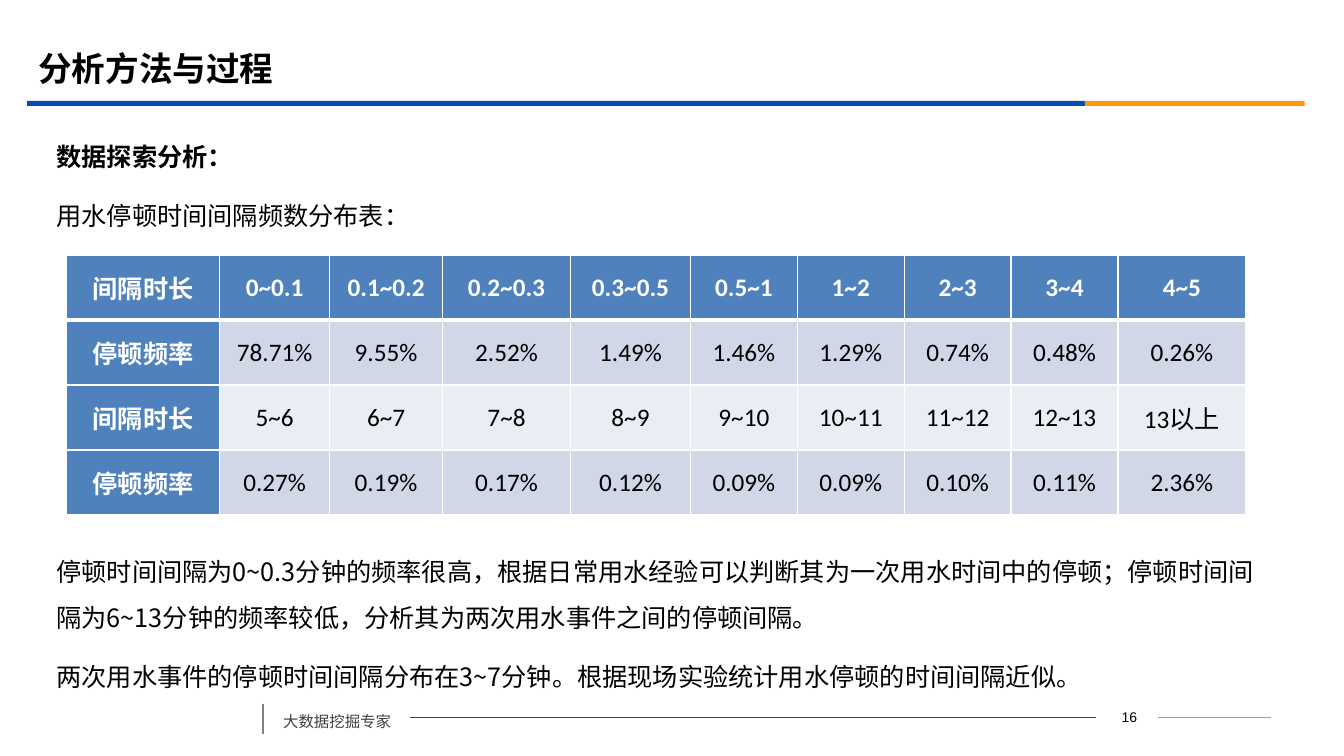
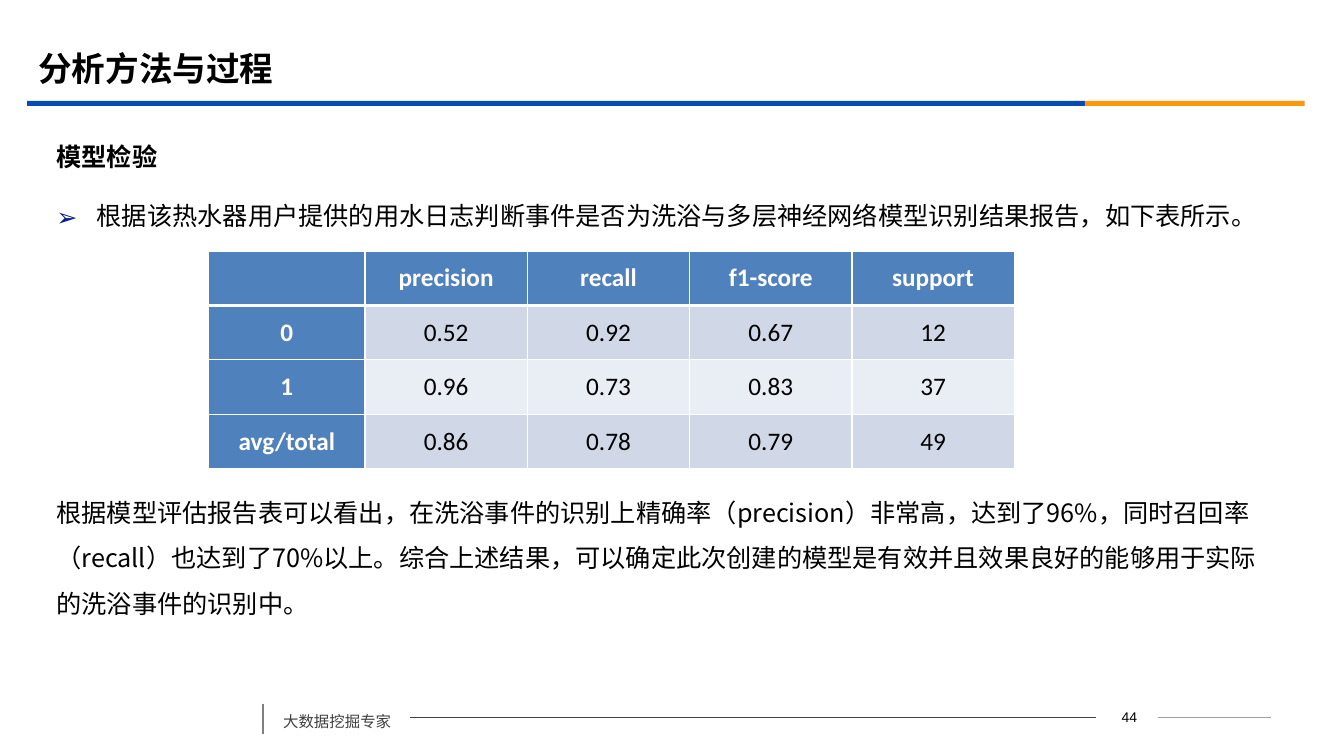
"""Build two slides on the water usage analysis."""
from dataclasses import dataclass
from typing import Optional

from lxml import etree
from pptx import Presentation
from pptx import util as u
from pptx.dml.color import RGBColor
from pptx.enum import shapes, text
from pptx.oxml import ns

BLACK = RGBColor(0x00, 0x00, 0x00)
WHITE = RGBColor(0xFF, 0xFF, 0xFF)
BLUE = RGBColor(0x06, 0x4B, 0xB2)
ORANGE = RGBColor(0xFB, 0x97, 0x08)
BULLET_BLUE = RGBColor(0x03, 0x20, 0x89)
DARK_RULE = RGBColor(0x42, 0x42, 0x42)
LIGHT_RULE = RGBColor(0x9F, 0x9F, 0x9F)
DIVIDER = RGBColor(0x80, 0x80, 0x80)
FOOTER_TEXT = RGBColor(0x40, 0x40, 0x40)
HEADER_FILL = RGBColor(0x4F, 0x81, 0xBD)
BAND_FILLS = (RGBColor(0xD0, 0xD8, 0xE8), RGBColor(0xE9, 0xED, 0xF4))

CJK_FONT = "Noto Sans CJK SC"
TABLE_FONT = "Calibri"
NUMBER_FONT = "Arial"
TITLE = "分析方法与过程"
FOOTER = "大数据挖掘专家"
BODY_LEFT = 0.56
INTRO_TOP = 1.25


@dataclass(frozen=True)
class Band:
    left: float
    width: float
    color: RGBColor


@dataclass(frozen=True)
class Rule:
    start: tuple[float, float]
    end: tuple[float, float]
    color: RGBColor
    weight: float


@dataclass(frozen=True)
class Line:
    words: str
    bold: bool = False
    bullet: Optional[str] = None


@dataclass(frozen=True)
class Grid:
    left: float
    top: float
    columns: list[float]
    row_height: float
    margin: float
    rows: list[list[str]]


@dataclass(frozen=True)
class Page:
    number: int
    body_width: float
    intro: list[Line]
    grid: Grid
    conclusion_top: float
    conclusion: list[Line]


BANDS = [Band(0.27, 10.49, BLUE), Band(10.76, 2.18, ORANGE)]
RULES = [
    Rule((11.49, 7.12), (12.61, 7.12), LIGHT_RULE, 0.75),
    Rule((4.07, 7.12), (10.87, 7.12), DARK_RULE, 0.75),
    Rule((2.61, 6.98), (2.61, 7.28), DIVIDER, 1.25),
]

PAGES = [
    Page(
        16, 12.01,
        [Line("数据探索分析：", bold=True), Line("用水停顿时间间隔频数分布表：")],
        Grid(
            0.66, 2.53,
            [1.52, 1.09, 1.12, 1.27, 1.19, 1.06, 1.06, 1.06, 1.06, 1.27], 0.645, 0.06,
            [
                ["间隔时长", "0~0.1", "0.1~0.2", "0.2~0.3", "0.3~0.5",
                 "0.5~1", "1~2", "2~3", "3~4", "4~5"],
                ["停顿频率", "78.71%", "9.55%", "2.52%", "1.49%",
                 "1.46%", "1.29%", "0.74%", "0.48%", "0.26%"],
                ["间隔时长", "5~6", "6~7", "7~8", "8~9",
                 "9~10", "10~11", "11~12", "12~13", "13以上"],
                ["停顿频率", "0.27%", "0.19%", "0.17%", "0.12%",
                 "0.09%", "0.09%", "0.10%", "0.11%", "2.36%"],
            ],
        ),
        5.37,
        [
            Line("停顿时间间隔为0~0.3分钟的频率很高，根据日常用水经验可以判断其为一次用水时间中的停顿；"
                 "停顿时间间隔为6~13分钟的频率较低，分析其为两次用水事件之间的停顿间隔。"),
            Line("两次用水事件的停顿时间间隔分布在3~7分钟。根据现场实验统计用水停顿的时间间隔近似。"),
        ],
    ),
    Page(
        44, 11.95,
        [
            Line("模型检验", bold=True),
            Line("根据该热水器用户提供的用水日志判断事件是否为洗浴与多层神经网络模型识别结果报告，"
                 "如下表所示。", bullet="➢"),
        ],
        Grid(
            2.07, 2.49, [1.55] + [1.61] * 4, 0.54, 0.08,
            [
                ["", "precision", "recall", "f1-score", "support"],
                ["0", "0.52", "0.92", "0.67", "12"],
                ["1", "0.96", "0.73", "0.83", "37"],
                ["avg/total", "0.86", "0.78", "0.79", "49"],
            ],
        ),
        4.78,
        [
            Line("根据模型评估报告表可以看出，在洗浴事件的识别上精确率（precision）非常高，达到了96%，"
                 "同时召回率（recall）也达到了70%以上。综合上述结果，可以确定此次创建的模型是有效并且"
                 "效果良好的能够用于实际的洗浴事件的识别中。"),
        ],
    ),
]


def add_span(para, words: str, size: float, color: RGBColor = BLACK,
             bold: bool = False, font: str = CJK_FONT) -> None:
    """Add one formatted run, with the shared East Asian font."""
    span = para.add_run()
    span.text = words
    span.font.size = u.Pt(size)
    span.font.bold = bold
    span.font.color.rgb = color
    span.font.name = font
    east = etree.SubElement(span.font._element, ns.qn("a:ea"))
    east.set("typeface", CJK_FONT)


def add_box(slide, left: float, top: float, width: float, height: float, side: float = 0):
    """Add a wrapping text box and return its frame."""
    box = slide.shapes.add_textbox(u.Inches(left), u.Inches(top), u.Inches(width), u.Inches(height))
    frame = box.text_frame
    frame.word_wrap = True
    frame.margin_left = frame.margin_right = u.Inches(side)
    frame.margin_top = frame.margin_bottom = 0
    return frame


def add_bullet(para, symbol: str) -> None:
    """Give a paragraph a hanging coloured bullet."""
    properties = para._p.get_or_add_pPr()
    properties.set("marL", str(u.Inches(0.4)))
    properties.set("indent", str(-u.Inches(0.4)))
    color = etree.SubElement(properties, ns.qn("a:buClr"))
    etree.SubElement(color, ns.qn("a:srgbClr")).set("val", str(BULLET_BLUE))
    etree.SubElement(properties, ns.qn("a:buFont")).set("typeface", CJK_FONT)
    etree.SubElement(properties, ns.qn("a:buChar")).set("char", symbol)


def add_lines(slide, lines: list[Line], top: float, width: float) -> None:
    """Add a block of body paragraphs."""
    frame = add_box(slide, BODY_LEFT, top, width, 1.1)
    for index, line in enumerate(lines):
        para = frame.add_paragraph() if index else frame.paragraphs[0]
        para.line_spacing = u.Pt(32.5)
        para.space_before = u.Pt(10 if index else 0)
        if line.bullet:
            add_bullet(para, line.bullet)
        add_span(para, line.words, 18, bold=line.bold)


def add_borders(cell, top: float, bottom: float) -> None:
    """Draw white borders round a table cell."""
    properties = cell._tc.get_or_add_tcPr()
    for tag, weight in (("lnL", 1), ("lnR", 1), ("lnT", top), ("lnB", bottom)):
        border = etree.SubElement(properties, ns.qn(f"a:{tag}"))
        border.set("w", str(u.Pt(weight)))
        fill = etree.SubElement(border, ns.qn("a:solidFill"))
        etree.SubElement(fill, ns.qn("a:srgbClr")).set("val", str(WHITE))


def add_grid(slide, grid: Grid) -> None:
    """Add a table with a header row, a header column and banded cells."""
    table = slide.shapes.add_table(
        len(grid.rows), len(grid.columns), u.Inches(grid.left), u.Inches(grid.top),
        u.Inches(sum(grid.columns)), u.Inches(grid.row_height * len(grid.rows))).table
    for column, width in zip(table.columns, grid.columns):
        column.width = u.Inches(width)
    for r, values in enumerate(grid.rows):
        table.rows[r].height = u.Inches(grid.row_height)
        for c, value in enumerate(values):
            cell = table.cell(r, c)
            header = r == 0 or c == 0
            add_borders(cell, top=3 if r == 1 else 1, bottom=3 if r == 0 else 1)
            cell.fill.solid()
            cell.fill.fore_color.rgb = HEADER_FILL if header else BAND_FILLS[(r - 1) % 2]
            cell.vertical_anchor = text.MSO_ANCHOR.MIDDLE
            cell.margin_left = cell.margin_right = u.Inches(grid.margin)
            cell.margin_top = cell.margin_bottom = 0
            para = cell.text_frame.paragraphs[0]
            para.alignment = text.PP_ALIGN.CENTER
            if value:
                add_span(para, value, 18, WHITE if header else BLACK, header, TABLE_FONT)


def add_band(slide, band: Band) -> None:
    """Draw one part of the strip below the title."""
    shape = slide.shapes.add_shape(
        shapes.MSO_SHAPE.RECTANGLE, u.Inches(band.left), u.Inches(1),
        u.Inches(band.width), u.Inches(0.05))
    shape.shadow.inherit = False
    shape.fill.solid()
    shape.fill.fore_color.rgb = band.color
    shape.line.fill.background()


def add_rule(slide, rule: Rule) -> None:
    """Draw one thin footer line."""
    line = slide.shapes.add_connector(
        shapes.MSO_CONNECTOR.STRAIGHT, *map(u.Inches, rule.start + rule.end))
    line.line.color.rgb = rule.color
    line.line.width = u.Pt(rule.weight)
    etree.SubElement(line._element.spPr, ns.qn("a:effectLst"))


def add_frame(slide, number: int) -> None:
    """Add the title, strip and footer that all slides share."""
    title = slide.shapes.title
    title.left, title.top, title.width, title.height = map(u.Inches, (0.28, 0.39, 12, 0.58))
    title.text_frame.vertical_anchor = text.MSO_ANCHOR.MIDDLE
    para = title.text_frame.paragraphs[0]
    para.alignment = text.PP_ALIGN.LEFT
    add_span(para, TITLE, 24, bold=True)
    for band in BANDS:
        add_band(slide, band)
    for rule in RULES:
        add_rule(slide, rule)
    footer = add_box(slide, 2.71, 6.97, 1.36, 0.38, side=0.1)
    footer.vertical_anchor = text.MSO_ANCHOR.MIDDLE
    add_span(footer.paragraphs[0], FOOTER, 11, FOOTER_TEXT)
    counter = add_box(slide, 10.89, 6.99, 0.62, 0.25)
    counter.vertical_anchor = text.MSO_ANCHOR.MIDDLE
    counter.paragraphs[0].alignment = text.PP_ALIGN.CENTER
    add_span(counter.paragraphs[0], str(number), 10, font=NUMBER_FONT)


def main() -> None:
    """Build and save the deck."""
    deck = Presentation()
    deck.slide_width, deck.slide_height = u.Inches(13.33), u.Inches(7.5)
    for page in PAGES:
        slide = deck.slides.add_slide(deck.slide_layouts[5])
        add_frame(slide, page.number)
        add_lines(slide, page.intro, INTRO_TOP, page.body_width)
        add_grid(slide, page.grid)
        add_lines(slide, page.conclusion, page.conclusion_top, page.body_width)
    deck.save("out.pptx")


if __name__ == "__main__":
    main()
